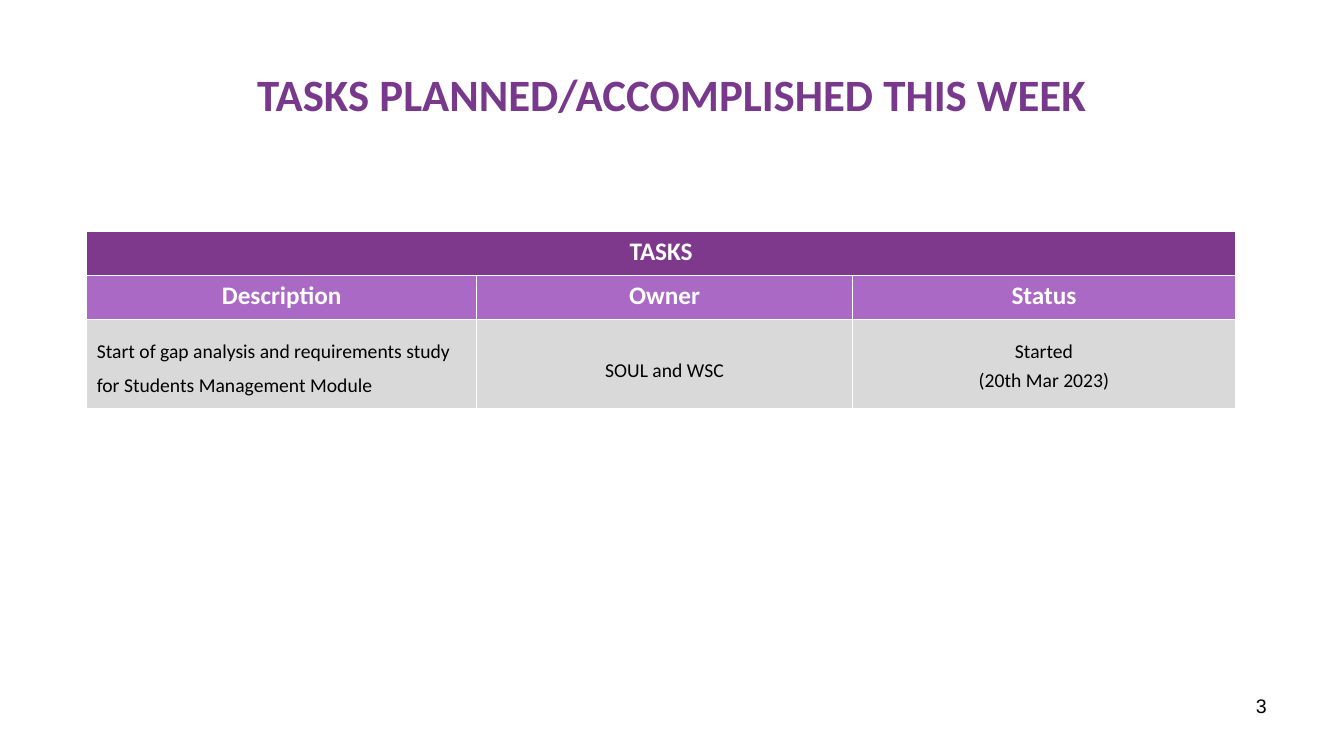
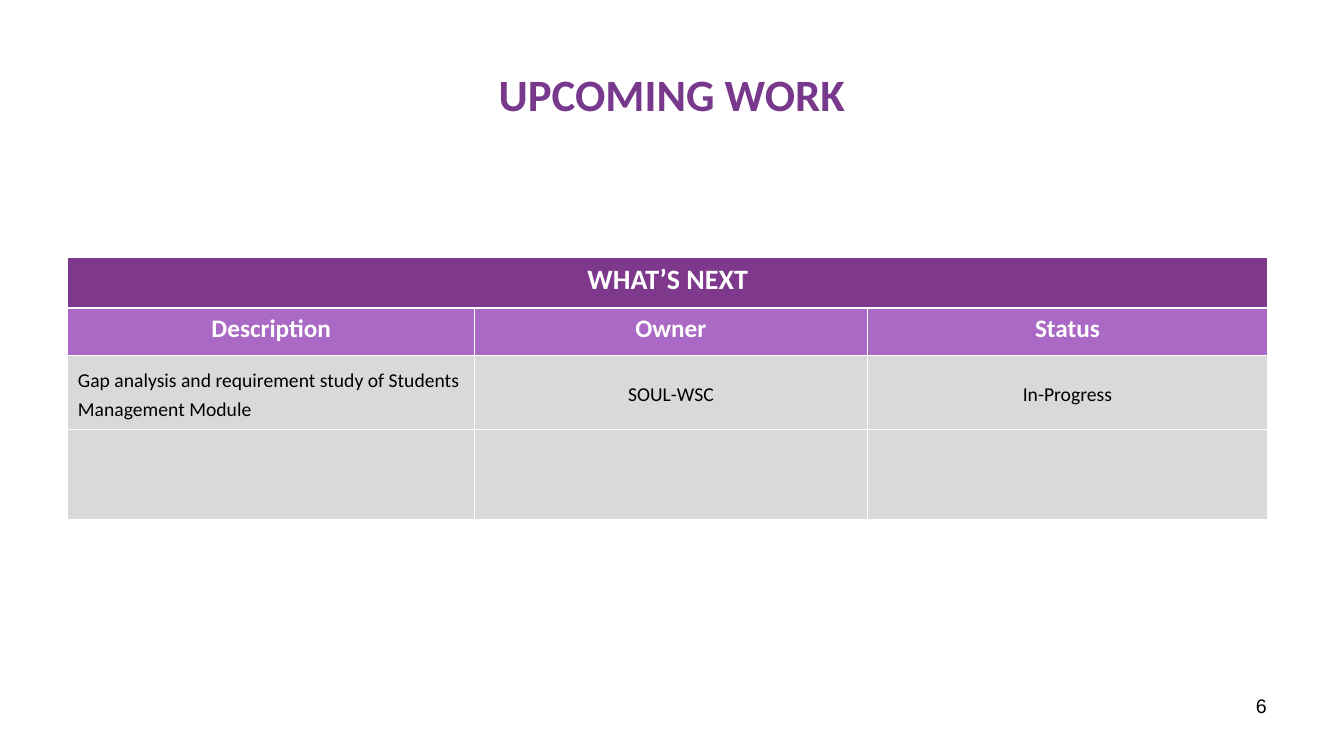
from lxml.etree import SubElement as Sub
from pptx import Presentation as Deck
from pptx.dml.color import RGBColor as Rgb
from pptx.enum.text import MSO_ANCHOR as Anchor, PP_ALIGN as Align
from pptx.oxml.ns import qn
from pptx.util import Pt

PLUM, VIOLET, LILAC = "78398D", "7F398C", "A969C4"
GREY, WHITE, BLACK = "D9D9D9", "FFFFFF", "000000"
HEADS = ["Description", "Owner", "Status"]


def paint(part, tone):
    """Give a fill or a font a solid hex colour."""
    if hasattr(part, "solid"):
        part.solid()
        part.fore_color.rgb = Rgb.from_string(tone)
    else:
        part.color.rgb = Rgb.from_string(tone)


def write(frame, text, size, tone, bold=False, align=Align.CENTER, face="Calibri", space=None):
    """Set the text of a frame and format all its runs."""
    frame.text = text
    for para in frame.paragraphs:
        para.alignment = align
        para.line_spacing = space
        for run in para.runs:
            run.font.name, run.font.size, run.font.bold = face, Pt(size), bold
            paint(run.font, tone)


def edge(cell):
    """Draw thin white borders around a cell."""
    props = cell._tc.get_or_add_tcPr()
    for side in ("lnL", "lnR", "lnT", "lnB"):
        line = Sub(props, qn("a:" + side), w=str(Pt(1)))
        Sub(Sub(line, qn("a:solidFill")), qn("a:srgbClr"), val=WHITE)


def add_page(deck, title, number):
    """Add a slide with its title and page number."""
    page = deck.slides.add_slide(deck.slide_layouts[5])
    head = page.shapes.title
    head.left, head.top, head.width, head.height = Pt(48), Pt(22), Pt(864), Pt(90)
    head.text_frame.vertical_anchor = Anchor.MIDDLE
    write(head.text_frame, title, 32, PLUM, True)
    foot = page.shapes.add_textbox(Pt(688), Pt(492), Pt(224), Pt(37)).text_frame
    foot.word_wrap = True
    write(foot, number, 14, BLACK, align=Align.RIGHT, face="Arial")
    return page


def add_tasks(page, left, top, cols, rows, name, size, tasks):
    """Add a task table with a banner, column heads and body rows."""
    grid = page.shapes.add_table(len(rows), len(cols), Pt(left), Pt(top),
                                 Pt(sum(cols)), Pt(sum(rows))).table
    for col, width in zip(grid.columns, cols):
        col.width = Pt(width)
    for row, height in zip(grid.rows, rows):
        row.height = Pt(height)
    for r, row in enumerate(grid.rows):
        for cell in row.cells:
            edge(cell)
            paint(cell.fill, (VIOLET, LILAC)[r] if r < 2 else GREY)
    banner = grid.cell(0, 0)
    banner.merge(grid.cell(0, len(cols) - 1))
    write(banner.text_frame, name, size, WHITE, True)
    for c, text in enumerate(HEADS):
        write(grid.cell(1, c).text_frame, text, 18, WHITE, True)
    for r, task in enumerate(tasks, 2):
        for c, (text, space) in enumerate(task):
            cell = grid.cell(r, c)
            cell.vertical_anchor = Anchor.MIDDLE
            write(cell.text_frame, text, 14, BLACK, space=space,
                  align=Align.CENTER if c else Align.LEFT)


def main():
    """Build and save the deck."""
    deck = Deck()
    deck.slide_width, deck.slide_height = Pt(960), Pt(540)
    page = add_page(deck, "TASKS PLANNED/ACCOMPLISHED THIS WEEK", "3")
    add_tasks(page, 62, 165, [278.5, 268.5, 273.5], [31.5, 31.5, 64], "TASKS", 18, [
        [("Start of gap analysis and requirements study for Students Management Module", 1.4),
         ("SOUL and WSC", 1.6), ("Started\n(20th Mar 2023)", 1.2)]])
    page = add_page(deck, "UPCOMING WORK", "6")
    add_tasks(page, 48.5, 184, [290.5, 280.5, 286], [36, 34, 53, 64], "WHAT’S NEXT", 20, [
        [("Gap analysis and requirement study of Students Management Module", 1.2),
         ("SOUL-WSC", 1.2), ("In-Progress", 1.2)]])
    deck.save("out.pptx")


if __name__ == "__main__":
    main()
